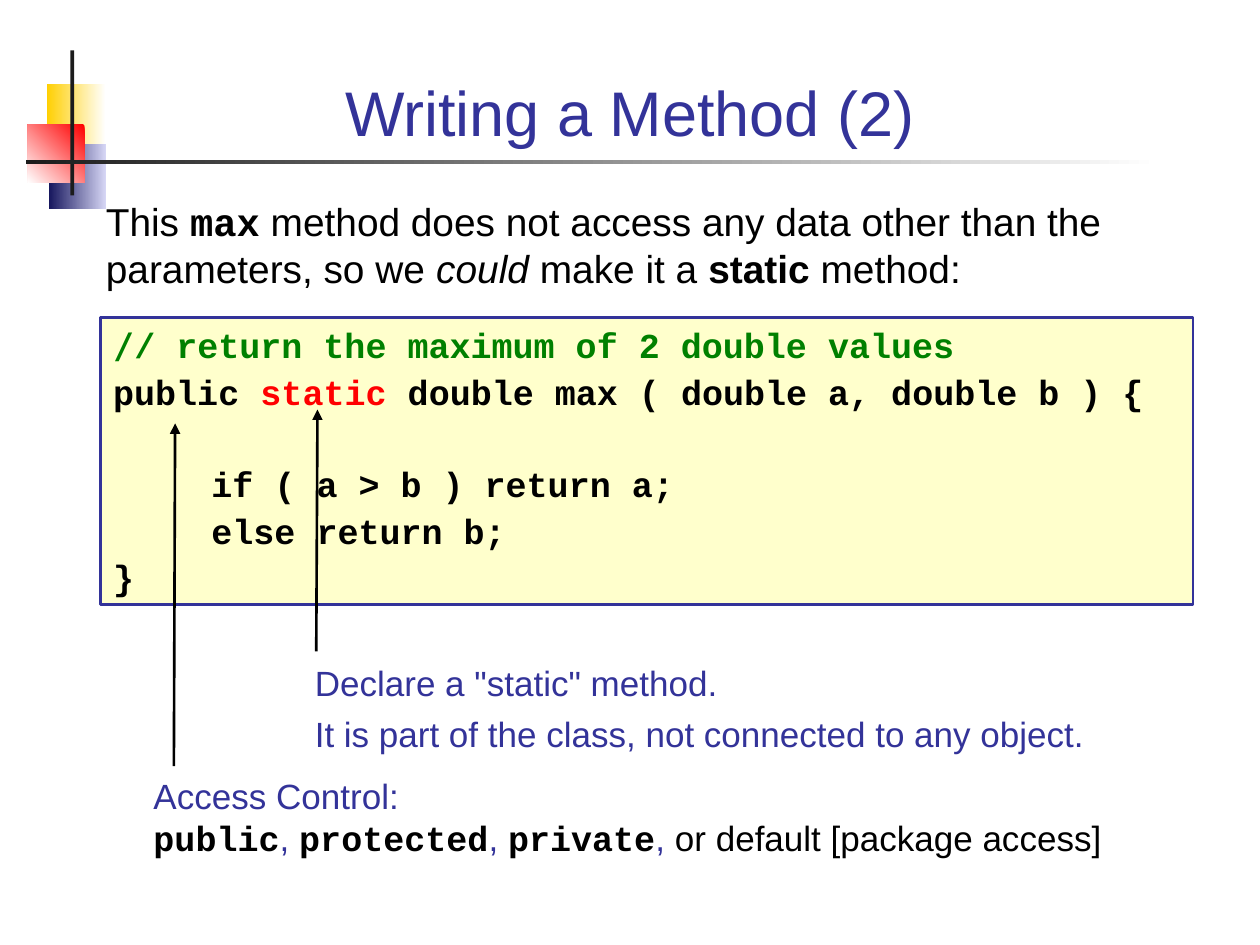
from lxml import etree
from pptx import Presentation
from pptx.dml.color import RGBColor
from pptx.enum.shapes import MSO_CONNECTOR, MSO_SHAPE
from pptx.enum.text import MSO_ANCHOR, MSO_AUTO_SIZE, PP_ALIGN
from pptx.oxml.ns import qn
from pptx.util import Emu, Pt

RECTANGLE = MSO_SHAPE.RECTANGLE
STRAIGHT = MSO_CONNECTOR.STRAIGHT
TOP, BOTTOM = MSO_ANCHOR.TOP, MSO_ANCHOR.BOTTOM
LEFT, CENTER = PP_ALIGN.LEFT, PP_ALIGN.CENTER
NO_AUTOFIT = MSO_AUTO_SIZE.NONE

EMU_PER_PX = 9144  # 100 px to the inch
NAVY, BLACK, GREEN, RED = "333399", "000000", "008000", "FF0000"
SANS, MONO, SYMBOL = "Arial", "Courier New", "DejaVu Sans Mono"
KEYWORD = {"name": MONO, "bold": True, "color": BLACK}
CODE_INDENT = 78
CODE_GAP = 2.5
BLANK_LINE = 26.5
NOTE_GAP = 5


def px(length):
    return Emu(length * EMU_PER_PX)


def rgb(value):
    return RGBColor.from_string(value)


def place(shape, box):
    shape.left, shape.top, shape.width, shape.height = map(px, box)


def prepare_frame(frame, anchor=TOP):
    frame.word_wrap = True
    frame.auto_size = NO_AUTOFIT
    frame.vertical_anchor = anchor
    frame.margin_left = frame.margin_right = px(10)
    frame.margin_top = frame.margin_bottom = px(5)


def style_font(font, name=None, size=None, color=None, bold=None, italic=None):
    if name:
        font.name = name
    if size:
        font.size = Pt(size)
    if color:
        font.color.rgb = rgb(color)
    if bold is not None:
        font.bold = bold
    if italic is not None:
        font.italic = italic


def write_paragraph(paragraph, runs, space=0, indent=0, align=LEFT, **style):
    """Write (text, style) runs; a run may be a plain string without a style."""
    properties = paragraph._p.get_or_add_pPr()
    properties.set("marL", str(px(indent)))
    properties.set("indent", "0")
    paragraph.alignment = align
    paragraph.space_before = Pt(space)
    etree.SubElement(properties, qn("a:buNone"))
    style_font(paragraph.font, **style)
    for part in runs:
        text, run_style = (part, {}) if isinstance(part, str) else part
        if text == "\n":
            paragraph.add_line_break()
            continue
        run = paragraph.add_run()
        run.text = text
        style_font(run.font, **run_style)


def add_block(shapes, box, color, end_color, angle):
    block = shapes.add_shape(RECTANGLE, *map(px, box))
    block.shadow.inherit = False
    block.line.fill.background()
    if end_color:
        block.fill.gradient()
        block.fill.gradient_angle = angle
        for stop, value in zip(block.fill.gradient_stops, (color, end_color)):
            stop.color.rgb = rgb(value)
    else:
        block.fill.solid()
        block.fill.fore_color.rgb = rgb(color)


def add_emblem(shapes, left, top):
    blocks = [
        ((16, 27, 47, 52), "FFFFFF", "FFCF01", 180),
        ((18, 74, 45, 52), "D6D6F5", "17175E", 180),
        ((1, 59, 45, 46), "FF0000", "FFFFFF", 225),
        ((35, 0, 3, 115), "1C1C1C", None, 0),
        ((0, 87, 899, 3), "FFFFFF", "1C1C1C", 180),
    ]
    for (x, y, width, height), color, end_color, angle in blocks:
        add_block(shapes, (left + x, top + y, width, height), color, end_color, angle)


def fill_title(title, box):
    place(title, box)
    prepare_frame(title.text_frame, BOTTOM)
    write_paragraph(title.text_frame.paragraphs[0], ["Writing a Method (2)"],
                    align=CENTER, name=SANS, size=36, color=NAVY)


def fill_body(body, box):
    place(body, box)
    prepare_frame(body.text_frame)
    runs = [
        "This ", ("max", KEYWORD),
        " method does not access any data other than the parameters, so we ",
        ("could", {"italic": True}), " make it a ",
        ("static", {"bold": True}), " method:",
    ]
    write_paragraph(body.text_frame.paragraphs[0], runs,
                    name=SANS, size=22.2, color=BLACK)


def add_code(shapes, box):
    panel = shapes.add_shape(RECTANGLE, *map(px, box))
    panel.shadow.inherit = False
    panel.fill.solid()
    panel.fill.fore_color.rgb = rgb("FFFFCC")
    panel.line.color.rgb = rgb(NAVY)
    panel.line.width = Pt(1.5)
    frame = panel.text_frame
    prepare_frame(frame)
    lines = [
        ([("/", {"name": SYMBOL, "color": GREEN}),
          ("/ return the maximum of 2 double values", {"color": GREEN})], 0, 0),
        (["public ", ("static", {"color": RED}),
          " double max ( double a, double b ) {"], CODE_GAP, 0),
        (["if ( a > b ) return a;"], CODE_GAP + BLANK_LINE, CODE_INDENT),
        (["else return b;"], CODE_GAP, CODE_INDENT),
        (["}"], CODE_GAP, 0),
    ]
    for index, (runs, space, indent) in enumerate(lines):
        paragraph = frame.add_paragraph() if index else frame.paragraphs[0]
        write_paragraph(paragraph, runs, space, indent,
                        name=MONO, size=20, color=BLACK, bold=True)


def add_note(shapes, box, paragraphs):
    frame = shapes.add_textbox(*map(px, box)).text_frame
    prepare_frame(frame)
    for index, runs in enumerate(paragraphs):
        paragraph = frame.add_paragraph() if index else frame.paragraphs[0]
        write_paragraph(paragraph, runs, NOTE_GAP if index else 0,
                        name=SANS, size=20, color=NAVY)


def add_arrow(shapes, start, end):
    arrow = shapes.add_connector(STRAIGHT, *map(px, start + end))
    arrow.line.color.rgb = rgb(BLACK)
    arrow.line.width = Pt(1.5)
    etree.SubElement(arrow.line._get_or_add_ln(), qn("a:tailEnd"), type="triangle")
    etree.SubElement(arrow._element.spPr, qn("a:effectLst"))


def main():
    presentation = Presentation()
    presentation.slide_width, presentation.slide_height = px(1000), px(750)
    slide = presentation.slides.add_slide(presentation.slide_layouts[1])
    shapes = slide.shapes

    add_emblem(shapes, 21, 40)
    fill_title(shapes.title, (67, 28, 866, 95))
    fill_body(slide.placeholders[1], (74, 152, 866, 88))
    add_code(shapes, (80, 252, 867, 228))
    add_arrow(shapes, (138, 608), (139, 336))
    add_note(shapes, (112, 610, 820, 77), [[
        "Access Control:", "\n",
        ("public", KEYWORD), ", ", ("protected", KEYWORD), ", ",
        ("private", KEYWORD), ", ",
        ("or default [package access]", {"color": BLACK}),
    ]])
    add_arrow(shapes, (251, 517), (252, 325))
    add_note(shapes, (240, 520, 635, 84), [
        ['Declare a "static" method.'],
        ["It is part of the class, not connected to any object."],
    ])
    presentation.save("out.pptx")


if __name__ == "__main__":
    main()
